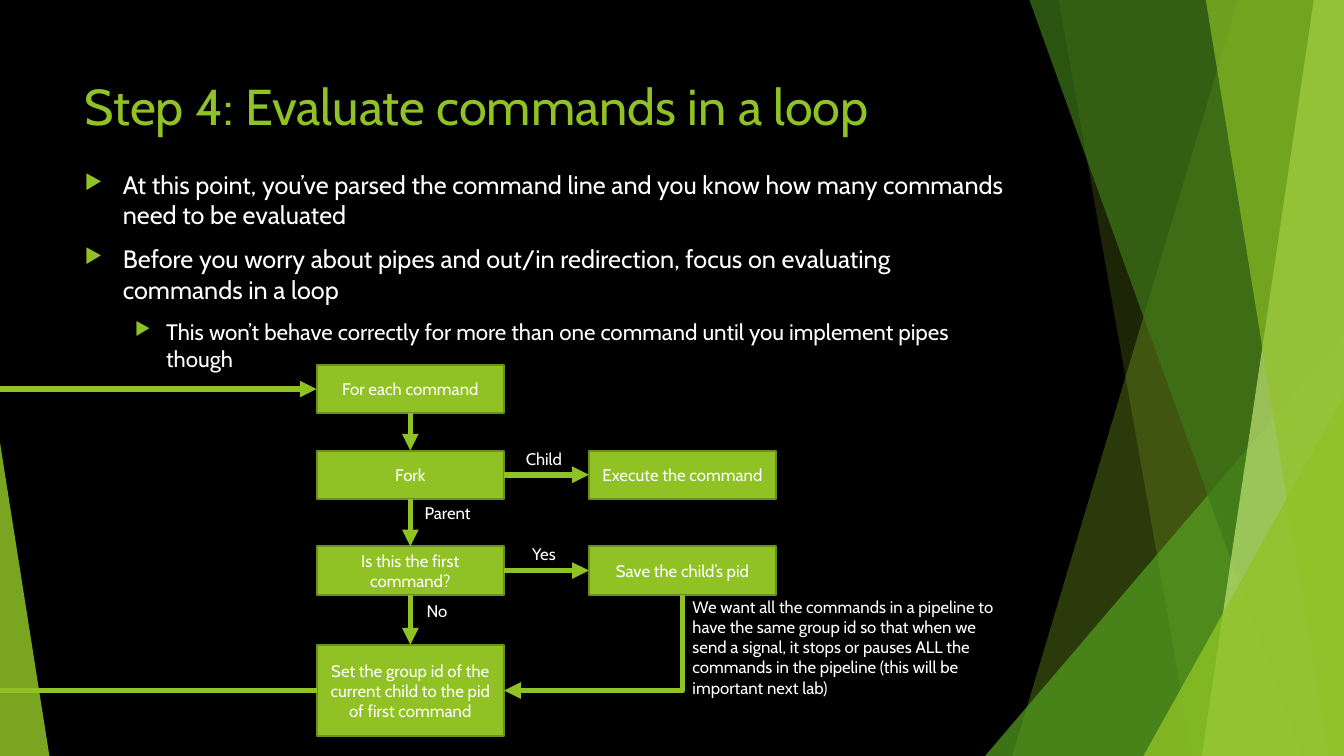
from lxml import etree
from pptx import Presentation
from pptx.dml.color import RGBColor
from pptx.enum.shapes import MSO_CONNECTOR as Link, MSO_SHAPE as Preset
from pptx.enum.text import MSO_ANCHOR as Anchor, PP_ALIGN as Align
from pptx.oxml.ns import qn
from pptx.util import Inches, Pt

WIDTH, HEIGHT = 13.33, 7.5
THEME = {
    "font": "Cabin", "back": "000000", "text": "FFFFFF",
    "lime": "90C226", "edge": "6B901C", "green": "54A021",
    "forest": "3F7819", "pale": "C0E474",
    "title": 36, "body": (18, 16), "small": 12, "border": 1.5, "arrow": 4,
}

# Content
TITLE = "Step 4: Evaluate commands in a loop"
BULLETS = [
    (0, "At this point, you’ve parsed the command line and you know how many "
        "commands need to be evaluated"),
    (0, "Before you worry about pipes and out/in redirection, focus on "
        "evaluating commands in a loop"),
    (1, "This won’t behave correctly for more than one command until you "
        "implement pipes though"),
]
NOTE = ("We want all the commands in a pipeline to have the same group id so "
        "that when we send a signal, it stops or pauses ALL the commands in "
        "the pipeline (this will be important next lab)")
INDENTS = [(0.38, 0.38), (0.81, 0.31)]  # text start, hanging bullet

# Flowchart: column and row centres, then (column, row, text)
COLUMNS = [4.07, 6.77]
ROWS = [3.86, 4.71, 5.66, 6.85]
ROW_HEIGHTS = [0.48, 0.48, 0.48, 0.91]
NODE_WIDTH = 1.86
NODES = {
    "each": (0, 0, "For each command"),
    "fork": (0, 1, "Fork"),
    "group": (0, 3, "Set the group id of the current child to the pid of first command"),
    "execute": (1, 1, "Execute the command"),
    "first": (0, 2, "Is this the first command?"),
    "save": (1, 2, "Save the child’s pid"),
}
TOP, LEFT, BOTTOM, RIGHT = range(4)  # connection sites of a rectangle
LINKS = [
    ("each", BOTTOM, "fork", TOP), ("fork", BOTTOM, "first", TOP),
    ("fork", RIGHT, "execute", LEFT), ("first", RIGHT, "save", LEFT),
    ("first", BOTTOM, "group", TOP),
]
LABELS = [("Yes", 5.14, 5.35, 0.51), ("No", 4.13, 5.91, 0.41),
          ("Child", 5.08, 4.4, 0.63), ("Parent", 4.07, 4.94, 0.74)]

# Background facets, back to front: colour, opacity, outline.
# A pair (top x, bottom x) is a band reaching the right edge;
# a triple (left, top, width) with a side is a triangle on the bottom edge.
FACETS = [
    ("lime", 30, (12.28, 10.04), None),
    ("lime", 20, (10.5, 11.83), None),
    ("green", 72, (9.77, 3.33, 3.56), 1),
    ("forest", 70, (10.21, 12.91), None),
    ("pale", 70, (13.03, 11.92), None),
    ("lime", 65, (11.96, 13.18), None),
    ("lime", 80, (11.34, 3.93, 1.99), 1),
    ("lime", 85, (0, 4.39, 0.49), 0),
]

deck = Presentation()
deck.slide_width, deck.slide_height = Inches(WIDTH), Inches(HEIGHT)
page = deck.slides.add_slide(deck.slide_layouts[6])
shapes = page.shapes


def color(name):
    return RGBColor.from_string(THEME[name])


def paint(shape, name):
    shape.shadow.inherit = False
    shape.fill.solid()
    shape.fill.fore_color.rgb = color(name)
    shape.line.fill.background()


def style(para, size, name="text", align=Align.LEFT):
    para.alignment = align
    for span in para.runs:
        span.font.name, span.font.size = THEME["font"], Pt(size)
        span.font.color.rgb = color(name)


def text_box(text, at, size, name="text", align=Align.LEFT, wrap=True):
    box = shapes.add_textbox(*map(Inches, at))
    box.text_frame.word_wrap = wrap
    box.text_frame.text = text
    for para in box.text_frame.paragraphs:
        style(para, size, name, align)
    return box


def add_bullet(para, level):
    start, hang = INDENTS[level]
    para.level = level
    para.space_before = Pt(10)
    props = para._p.get_or_add_pPr()
    props.set("marL", str(Inches(start)))
    props.set("indent", str(-Inches(hang)))
    tint = etree.SubElement(props, qn("a:buClr"))
    etree.SubElement(tint, qn("a:srgbClr"), val=THEME["lime"])
    etree.SubElement(props, qn("a:buSzPct"), val="80000")
    etree.SubElement(props, qn("a:buChar"), char="▶")


def add_link(kind, start, end, arrow=True):
    link = shapes.add_connector(kind, *map(Inches, start + end))
    link.line.color.rgb = color("lime")
    link.line.width = Pt(THEME["arrow"])
    if arrow:
        etree.SubElement(link.line._get_or_add_ln(), qn("a:tailEnd"), type="triangle")
    etree.SubElement(link._element.spPr, qn("a:effectLst"))
    return link


# Background
page.background.fill.solid()
page.background.fill.fore_color.rgb = color("back")
for name, opacity, outline, side in FACETS:
    if side is None:
        upper, lower = outline
        corners = [(WIDTH, 0), (WIDTH, HEIGHT), (lower, HEIGHT)]
        builder = shapes.build_freeform(Inches(upper), 0)
        builder.add_line_segments([(Inches(x), Inches(y)) for x, y in corners])
        facet = builder.convert_to_shape()
    else:
        left, top, width = outline
        facet = shapes.add_shape(Preset.ISOSCELES_TRIANGLE,
                                 *map(Inches, (left, top, width, HEIGHT - top)))
        facet.adjustments[0] = side
    paint(facet, name)
    tone = facet._element.spPr.find(qn("a:solidFill")).find(qn("a:srgbClr"))
    etree.SubElement(tone, qn("a:alpha"), val=str(opacity * 1000))

# Title and bullets
body = text_box("\n".join(text for _, text in BULLETS),
                (0.74, 1.63, 9.4, 4.24), THEME["body"][0])
for para, (level, _) in zip(body.text_frame.paragraphs, BULLETS):
    add_bullet(para, level)
    style(para, THEME["body"][level])
heading = text_box(TITLE, (0.74, 0.67, 10.29, 0.75), THEME["title"], "lime")
heading.text_frame.vertical_anchor = Anchor.MIDDLE

# Flowchart boxes
nodes = {}
for key, (column, row, text) in NODES.items():
    height = ROW_HEIGHTS[row]
    at = (COLUMNS[column] - NODE_WIDTH / 2, ROWS[row] - height / 2, NODE_WIDTH, height)
    node = nodes[key] = shapes.add_shape(Preset.RECTANGLE, *map(Inches, at))
    paint(node, "lime")
    node.line.color.rgb = color("edge")
    node.line.width = Pt(THEME["border"])
    node.text_frame.word_wrap = True
    node.text_frame.vertical_anchor = Anchor.MIDDLE
    node.text_frame.text = text
    style(node.text_frame.paragraphs[0], THEME["small"], align=Align.CENTER)

# Straight arrows between boxes
for source, exit_site, target, entry_site in LINKS:
    link = add_link(Link.STRAIGHT, (0, 0), (0, 0))
    link.begin_connect(nodes[source], exit_site)
    link.end_connect(nodes[target], entry_site)

# Elbow from the saved pid down and left: a right-then-down bend turned 90 degrees
box_left, box_right = (COLUMNS[0] + sign * NODE_WIDTH / 2 for sign in (-1, 1))
save_bottom = ROWS[2] + ROW_HEIGHTS[2] / 2
drop, run = ROWS[3] - save_bottom, COLUMNS[1] - box_right
middle_x, middle_y = box_right + run / 2, save_bottom + drop / 2
elbow = add_link(Link.ELBOW, (middle_x - drop / 2, middle_y - run / 2),
                 (middle_x + drop / 2, middle_y + run / 2))
elbow._element.spPr.find(qn("a:xfrm")).set("rot", "5400000")
elbow._element.spPr.find(qn("a:prstGeom")).set("prst", "bentConnector2")

# Loop back by way of the left edge
add_link(Link.STRAIGHT, (box_left, ROWS[3]), (0, ROWS[3]), arrow=False)
add_link(Link.STRAIGHT, (0, ROWS[0]), (box_left, ROWS[0]))

# Branch labels and note
for text, left, top, width in LABELS:
    text_box(text, (left, top, width, 0.3), THEME["small"], align=Align.CENTER, wrap=False)
text_box(NOTE, (COLUMNS[1], 5.87, 3.37, 1.11), THEME["small"])

deck.save("out.pptx")
